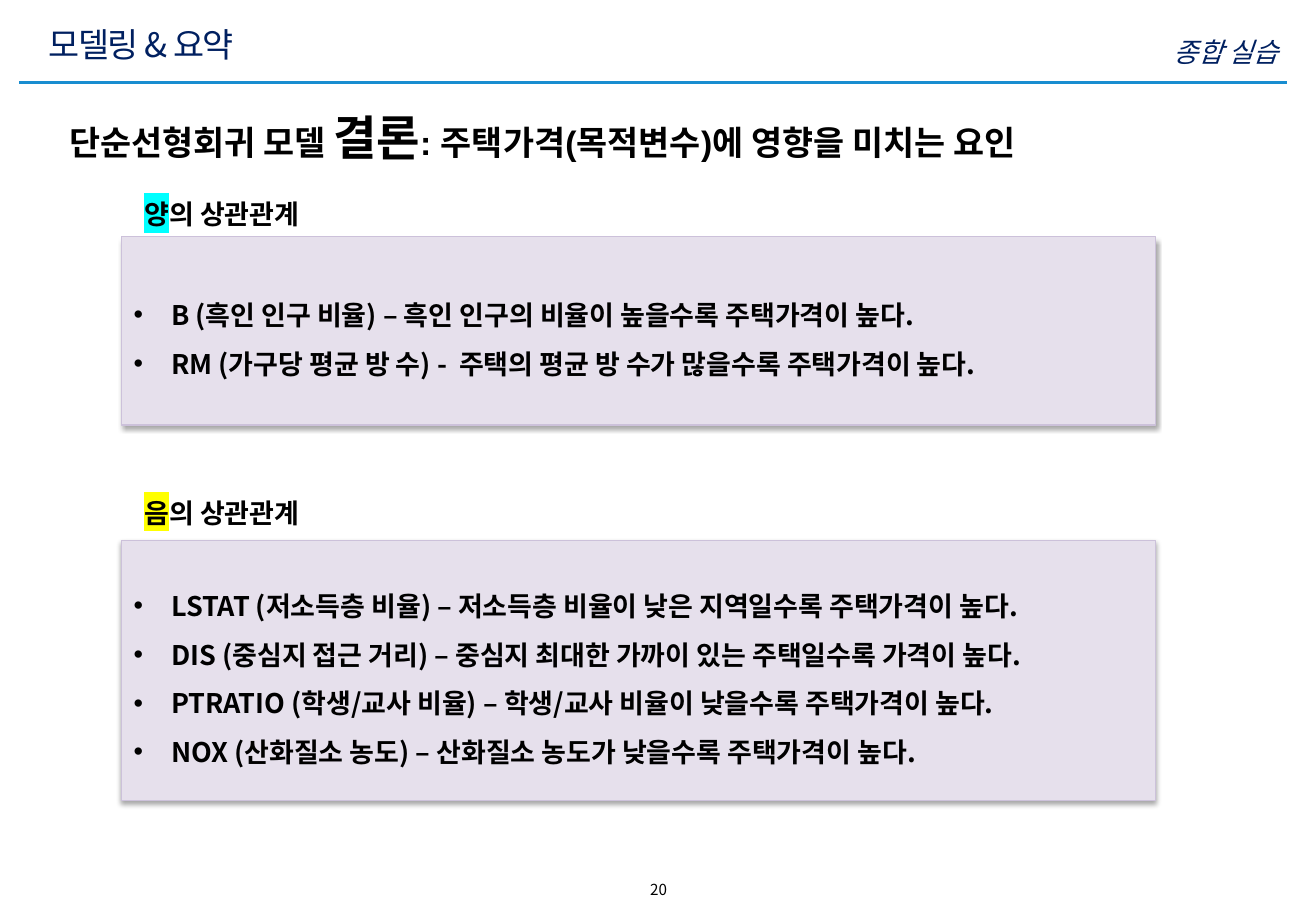
import pptx
import pptx.dml.color
import pptx.enum.shapes
import pptx.enum.text
import pptx.oxml
import pptx.oxml.ns
import pptx.util

Inches = pptx.util.Inches
Pt = pptx.util.Pt
RGBColor = pptx.dml.color.RGBColor
Align = pptx.enum.text.PP_ALIGN
Anchor = pptx.enum.text.MSO_ANCHOR
AutoSize = pptx.enum.text.MSO_AUTO_SIZE
qn = pptx.oxml.ns.qn

BLACK = RGBColor(0x00, 0x00, 0x00)
NAVY = RGBColor(0x00, 0x20, 0x60)
BLUE = RGBColor(0x18, 0x8D, 0xD0)
LILAC = RGBColor(0xE6, 0xE0, 0xEC)
LILAC_EDGE = RGBColor(0xCC, 0xC1, 0xDA)
CYAN = RGBColor(0x00, 0xFF, 0xFF)
YELLOW = RGBColor(0xFF, 0xFF, 0x00)

KOREAN = "Noto Sans CJK KR"
LATIN = "Arial"
PANEL_LEFT, PANEL_WIDTH = 1, 8.51

POSITIVE = [
    "B (흑인 인구 비율) – 흑인 인구의 비율이 높을수록 주택가격이 높다.",
    "RM (가구당 평균 방 수) -  주택의 평균 방 수가 많을수록 주택가격이 높다.",
]
NEGATIVE = [
    "LSTAT (저소득층 비율) – 저소득층 비율이 낮은 지역일수록 주택가격이 높다.",
    "DIS (중심지 접근 거리) – 중심지 최대한 가까이 있는 주택일수록 가격이 높다.",
    "PTRATIO (학생/교사 비율) – 학생/교사 비율이 낮을수록 주택가격이 높다.",
    "NOX (산화질소 농도) – 산화질소 농도가 낮을수록 주택가격이 높다.",
]


def element(tag, **attributes):
    node = pptx.oxml.parse_xml(f"<a:{tag} {pptx.oxml.ns.nsdecls('a')}/>")
    for name, value in attributes.items():
        node.set(name, str(value))
    return node


class SummaryPage:
    def __init__(self, deck):
        self.page = deck.slides.add_slide(deck.slide_layouts[3])
        self.title_box, *self.panels = self.page.placeholders

    def place(self, box, left, top, width, height):
        box.left, box.top = Inches(left), Inches(top)
        box.width, box.height = Inches(width), Inches(height)

    def style(self, span, size, color=BLACK, font=KOREAN, bold=False, italic=False):
        span.font.size = Pt(size)
        span.font.bold = bold
        span.font.italic = italic
        span.font.color.rgb = color
        span.font.name = font
        latin = span.font._element.find(qn("a:latin"))
        latin.addnext(element("ea", typeface=KOREAN))

    def highlight(self, span, color):
        mark = element("highlight")
        mark.append(element("srgbClr", val=color))
        span.font._element.find(qn("a:latin")).addprevious(mark)

    def rule(self, left, right, top):
        line = self.page.shapes.add_connector(
            pptx.enum.shapes.MSO_CONNECTOR.STRAIGHT,
            Inches(left), Inches(top), Inches(right), Inches(top))
        line.line.color.rgb = BLUE
        line.line.width = Pt(2)
        line._element.spPr.append(element("effectLst"))

    def title(self, text, left, top, width, height):
        box = self.title_box
        self.place(box, left, top, width, height)
        frame = box.text_frame
        frame.text = text
        frame.auto_size = AutoSize.NONE
        frame.vertical_anchor = Anchor.MIDDLE
        para = frame.paragraphs[0]
        para.alignment = Align.LEFT
        span = para.runs[0]
        self.style(span, 20, NAVY)
        span.font._element.set("spc", "-100")

    def label(self, spans, left, top, width, height, align=Align.LEFT, **style):
        box = self.page.shapes.add_textbox(0, 0, 0, 0)
        self.place(box, left, top, width, height)
        box.text_frame.word_wrap = True
        para = box.text_frame.paragraphs[0]
        para.alignment = align
        for text, size in spans:
            span = para.add_run()
            span.text = text
            self.style(span, size, **style)
        return para

    def heading(self, sign, color, top):
        para = self.label([(sign, 16), ("의 상관관계", 16)],
                          1.09, top, 1.68, 0.37, font=LATIN, bold=True)
        self.highlight(para.runs[0], color)

    def panel(self, box, items, top, height):
        self.place(box, PANEL_LEFT, top, PANEL_WIDTH, height)
        box.fill.solid()
        box.fill.fore_color.rgb = LILAC
        box.line.color.rgb = LILAC_EDGE
        box.line.width = Pt(0.75)
        self.drop_shadow(box)
        frame = box.text_frame
        frame.text = "\n".join(items)
        frame.word_wrap = True
        frame.auto_size = AutoSize.NONE
        frame.vertical_anchor = Anchor.MIDDLE
        for para in frame.paragraphs:
            self.bullet(para)
            self.style(para.runs[0], 16, bold=True)

    def bullet(self, para):
        para.line_spacing = 1.5
        para.space_before = Pt(0)
        settings = para._p.get_or_add_pPr()
        settings.set("marL", str(Inches(0.31)))
        settings.set("indent", str(-Inches(0.31)))
        settings.append(element("buFont", typeface=LATIN))
        settings.append(element("buChar", char="•"))

    def drop_shadow(self, box):
        box.shadow.inherit = False
        shadow = element("outerShdw", blurRad=Pt(3.1), dist=Pt(1.8),
                         dir=90 * 60000, rotWithShape=0)
        color = element("srgbClr", val=BLACK)
        color.append(element("alpha", val=35000))
        shadow.append(color)
        box._element.spPr.find(qn("a:effectLst")).append(shadow)


def main():
    deck = pptx.Presentation()
    deck.slide_width = Inches(10.83)
    deck.slide_height = Inches(7.5)
    summary = SummaryPage(deck)
    summary.rule(0.16, 10.59, 0.68)
    summary.label([("20", 9)], 4.39, 7.2, 2.06, 0.25, align=Align.CENTER)
    summary.label([("종합 실습", 16)], 6.55, 0.24, 4.07, 0.3,
                  align=Align.RIGHT, color=NAVY, italic=True)
    summary.title("모델링 & 요약", 0.3, 0.14, 8.51, 0.44)
    summary.label([("단순선형회귀 모델 ", 20), ("결론", 28),
                   (": 주택가격(목적변수)에 영향을 미치는 요인", 20)],
                  0.47, 0.84, 8.99, 0.57, font=LATIN, bold=True)
    positive_panel, negative_panel = summary.panels
    summary.panel(positive_panel, POSITIVE, 1.95, 1.55)
    summary.panel(negative_panel, NEGATIVE, 4.45, 2.14)
    summary.heading("양", CYAN, 1.58)
    summary.heading("음", YELLOW, 4.04)
    deck.save("out.pptx")


if __name__ == "__main__":
    main()
